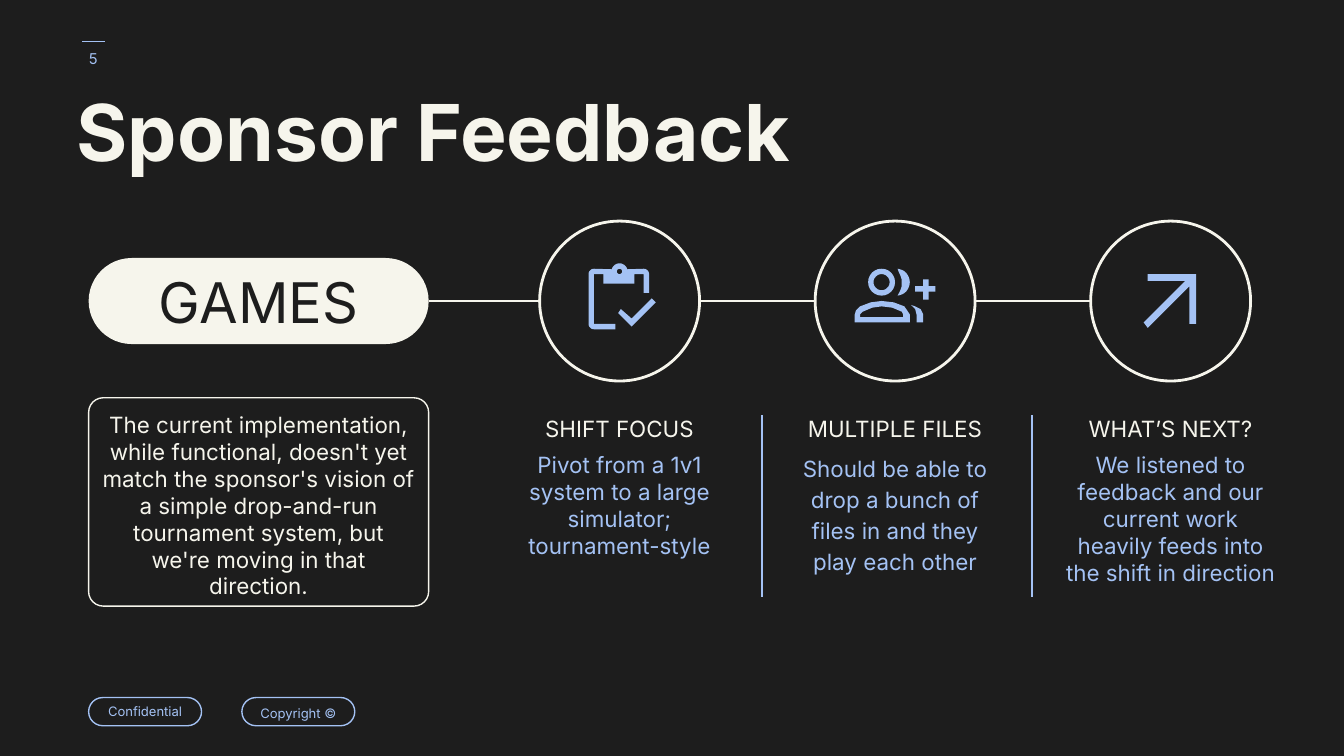
"""Build the Sponsor Feedback slide: a pill, three linked steps and their captions."""
from dataclasses import dataclass
from math import cos, radians, sin
from typing import NamedTuple, Optional

from lxml.etree import SubElement
from pptx import Presentation
from pptx.dml.color import RGBColor
from pptx.enum.shapes import MSO_CONNECTOR as Connector, MSO_SHAPE as Shape
from pptx.enum.text import MSO_ANCHOR as Anchor, MSO_AUTO_SIZE as AutoSize, PP_ALIGN as Align
from pptx.oxml.ns import qn
from pptx.util import Inches, Pt

COLORS = {"dark": "1D1D1D", "cream": "F6F5EC", "blue": "A4C2F4"}
FONT = "Inter"
WIDTH = 10
HEIGHT = WIDTH * 9 / 16
MARGIN, PANEL_WIDTH = 0.66, 2.53
FIRST_CENTER, PITCH = 4.61, 2.05
CIRCLE, AXIS = 1.19, 2.24
CAPTION_TOP = 2.96
UNITS_PER_INCH = 1000

Point = tuple[float, float]
Contour = list[Point]


class Box(NamedTuple):
    left: float
    top: float
    width: float
    height: float


@dataclass
class Style:
    size: float
    color: str
    align: Align = Align.CENTER
    spacing: float = 1.0
    anchor: Anchor = Anchor.TOP
    bold: bool = False


@dataclass
class Step:
    heading: str
    body: str
    icon: list[Contour]
    spacing: float = 1.0


def arc(x: float, y: float, radius: float, start: int = 0, end: int = 360, steps: int = 24) -> Contour:
    """Return points along a circular arc, angles in degrees clockwise from the right."""
    angles = [radians(start + (end - start) * i / steps) for i in range(steps + 1)]
    return [(x + radius * cos(a), y + radius * sin(a)) for a in angles]


CLIPBOARD = [
    arc(4.61, 2.02, 0.02),
    [(4.85, 2.22), (4.7, 2.37), (4.62, 2.3), (4.6, 2.33), (4.7, 2.43), (4.88, 2.25)],
    arc(4.61, 2.02, 0.06, 195, 345)
    + arc(4.79, 2.04, 0.04, 270, 360, 6)
    + [(4.83, 2.18), (4.79, 2.18), (4.79, 2.04), (4.72, 2.04), (4.72, 2.11), (4.49, 2.11),
       (4.49, 2.04), (4.42, 2.04), (4.42, 2.41), (4.58, 2.41), (4.58, 2.45)]
    + arc(4.42, 2.41, 0.04, 90, 180, 6)
    + arc(4.42, 2.04, 0.04, 180, 270, 6),
]
PEOPLE = [
    arc(6.56, 2.1, 0.06),
    arc(6.56, 2.1, 0.1),
    arc(6.67, 2.1, 0.1, -85, 85)
    + [(6.69, 2.18), (6.7, 2.16), (6.71, 2.13), (6.71, 2.08), (6.7, 2.05), (6.69, 2.03)],
    [(6.87, 2.08), (6.87, 2.13), (6.81, 2.13), (6.81, 2.17), (6.87, 2.17), (6.87, 2.23),
     (6.91, 2.23), (6.91, 2.17), (6.96, 2.17), (6.96, 2.13), (6.91, 2.13), (6.91, 2.08)],
    [(6.56, 2.28), (6.64, 2.29), (6.71, 2.32), (6.72, 2.34), (6.72, 2.36), (6.4, 2.36),
     (6.4, 2.34), (6.42, 2.32), (6.49, 2.29)],
    [(6.56, 2.24), (6.48, 2.25), (6.4, 2.28), (6.37, 2.31), (6.36, 2.34), (6.36, 2.4),
     (6.77, 2.4), (6.77, 2.34), (6.75, 2.31), (6.73, 2.28), (6.65, 2.25)],
    [(6.78, 2.27), (6.81, 2.3), (6.82, 2.34), (6.82, 2.4), (6.87, 2.4), (6.87, 2.34),
     (6.85, 2.3), (6.81, 2.28)],
]
ARROW = [[(8.54, 2.04), (8.54, 2.09), (8.82, 2.09), (8.51, 2.4), (8.54, 2.44),
          (8.85, 2.13), (8.85, 2.41), (8.9, 2.41), (8.9, 2.04)]]

STEPS = [
    Step("SHIFT FOCUS", "Pivot from a 1v1 system to a large simulator; tournament-style", CLIPBOARD),
    Step("MULTIPLE FILES", "Should be able to drop a bunch of files in and they play each other", PEOPLE, 1.15),
    Step("WHAT’S NEXT?",
         "We listened to feedback and our current work heavily feeds into the shift in direction", ARROW),
]
SUMMARY = ("The current implementation, while functional, doesn't yet match the sponsor's vision of "
           "a simple drop-and-run tournament system, but we're moving in that direction.")


def rgb(name: str) -> RGBColor:
    """Look a colour up by name."""
    return RGBColor.from_string(COLORS[name])


def write(shape, text: str, style: Style) -> None:
    """Put one styled paragraph into a shape."""
    frame = shape.text_frame
    frame.text = text
    frame.word_wrap = True
    frame.auto_size = AutoSize.NONE
    frame.vertical_anchor = style.anchor
    frame.margin_left = frame.margin_right = frame.margin_top = frame.margin_bottom = Inches(0.1)
    paragraph = frame.paragraphs[0]
    paragraph.alignment = style.align
    paragraph.line_spacing = style.spacing
    font = paragraph.runs[0].font
    font.name, font.size, font.bold = FONT, Pt(style.size), style.bold
    font.color.rgb = rgb(style.color)


def add_text(slide, box: Box, text: str, style: Style) -> None:
    """Add a text box."""
    write(slide.shapes.add_textbox(*map(Inches, box)), text, style)


def add_outline(slide, kind: Shape, box: Box, fill: Optional[str] = None,
                line: Optional[str] = None, weight: float = 0.75, corner: Optional[float] = None):
    """Add a preset shape with an optional fill, line and corner radius."""
    shape = slide.shapes.add_shape(kind, *map(Inches, box))
    shape.shadow.inherit = False
    if corner is not None:
        shape.adjustments[0] = corner
    if fill:
        shape.fill.solid()
        shape.fill.fore_color.rgb = rgb(fill)
    else:
        shape.fill.background()
    if line:
        shape.line.color.rgb = rgb(line)
        shape.line.width = Pt(weight)
    else:
        shape.line.fill.background()
    return shape


def add_line(slide, start: Point, end: Point, color: str, weight: float = 0.75):
    """Add a straight connector without a shadow."""
    line = slide.shapes.add_connector(Connector.STRAIGHT, *map(Inches, start + end))
    line.line.color.rgb = rgb(color)
    line.line.width = Pt(weight)
    SubElement(line._element.spPr, qn("a:effectLst"))
    return line


def add_icon(slide, contours: list[Contour]) -> None:
    """Add a filled freeform made of several closed contours."""
    scaled = [[(x * UNITS_PER_INCH, y * UNITS_PER_INCH) for x, y in contour] for contour in contours]
    builder = slide.shapes.build_freeform(*scaled[0][0], scale=Inches(1) / UNITS_PER_INCH)
    for index, (first, *others) in enumerate(scaled):
        if index:
            builder.move_to(*first)
        builder.add_line_segments(others, close=True)
    icon = builder.convert_to_shape()
    icon.shadow.inherit = False
    icon.fill.solid()
    icon.fill.fore_color.rgb = rgb("blue")
    icon.line.fill.background()


def add_step(slide, step: Step, center: float) -> None:
    """Add one step: circle, icon, heading and body."""
    circle = Box(center - CIRCLE / 2, AXIS - CIRCLE / 2, CIRCLE, CIRCLE)
    add_outline(slide, Shape.FLOWCHART_CONNECTOR, circle, line="cream", weight=1.5)
    add_icon(slide, step.icon)
    add_text(slide, Box(center - 0.8, CAPTION_TOP, 1.6, 0.3), step.heading, Style(12, "cream", spacing=1.15))
    add_text(slide, Box(center - 0.88, CAPTION_TOP + 0.3, 1.76, 1.19), step.body,
             Style(12, "blue", spacing=step.spacing))


def main() -> None:
    """Assemble and save the slide."""
    presentation = Presentation()
    presentation.slide_width, presentation.slide_height = Inches(WIDTH), Inches(HEIGHT)
    slide = presentation.slides.add_slide(presentation.slide_layouts[5])
    slide.background.fill.solid()
    slide.background.fill.fore_color.rgb = rgb("dark")

    title = slide.shapes.title
    title.left, title.top, title.width, title.height = map(Inches, Box(0.47, 0.65, 7.4, 0.96))
    write(title, "Sponsor Feedback", Style(42, "cream", Align.LEFT, 0.8, bold=True))

    add_line(slide, (0.78, 0.31), (0.61, 0.31), "blue")
    add_text(slide, Box(0.46, 0.22, 0.47, 0.43), "5", Style(8, "blue", anchor=Anchor.MIDDLE))

    pill = add_outline(slide, Shape.ROUNDED_RECTANGLE, Box(MARGIN, AXIS - 0.32, PANEL_WIDTH, 0.64),
                       fill="cream", corner=0.5)
    write(pill, "GAMES", Style(30, "dark", anchor=Anchor.MIDDLE))
    add_outline(slide, Shape.ROUNDED_RECTANGLE, Box(MARGIN, CAPTION_TOP, PANEL_WIDTH, 1.55),
                line="cream", corner=0.07)
    add_text(slide, Box(MARGIN, CAPTION_TOP, PANEL_WIDTH, 1.92), SUMMARY, Style(12, "cream"))

    link_start = MARGIN + PANEL_WIDTH
    for index, step in enumerate(STEPS):
        center = FIRST_CENTER + index * PITCH
        link = add_line(slide, (link_start, AXIS), (center - CIRCLE / 2, AXIS), "cream", 1.5)
        if index == 0:
            link.begin_connect(pill, 3)
        add_step(slide, step, center)
        link_start = center + CIRCLE / 2
    for x in (5.67, 7.68):
        add_line(slide, (x, 3.09), (x, 4.44), "blue")

    for index, (label, spacing) in enumerate([("Confidential", 1.0), ("Copyright ©", 1.15)]):
        tag = add_outline(slide, Shape.ROUNDED_RECTANGLE, Box(MARGIN + index * 1.14, 5.19, 0.84, 0.21),
                          line="blue", corner=0.5)
        write(tag, label, Style(7, "blue", spacing=spacing, anchor=Anchor.MIDDLE))
    presentation.save("out.pptx")


if __name__ == "__main__":
    main()
